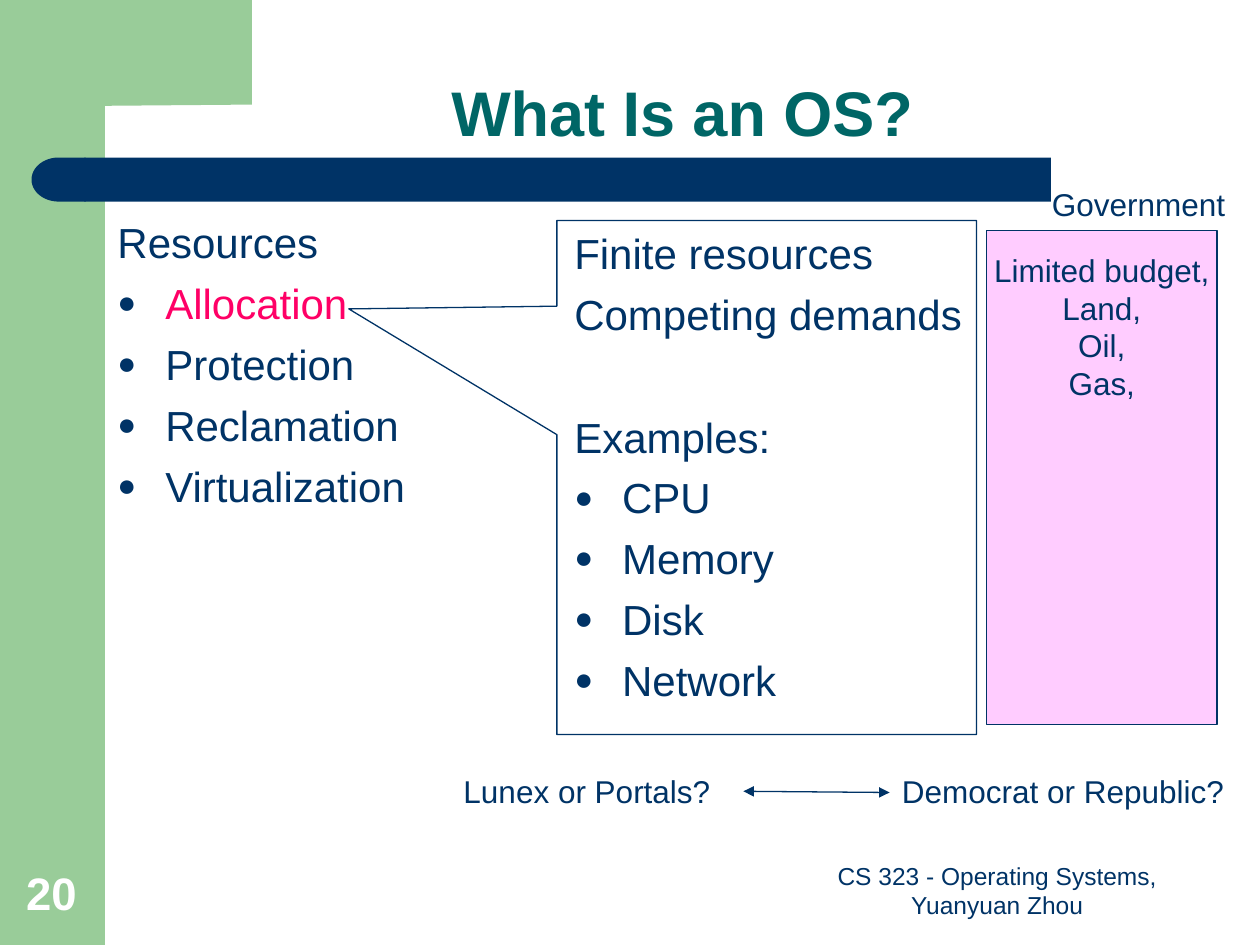
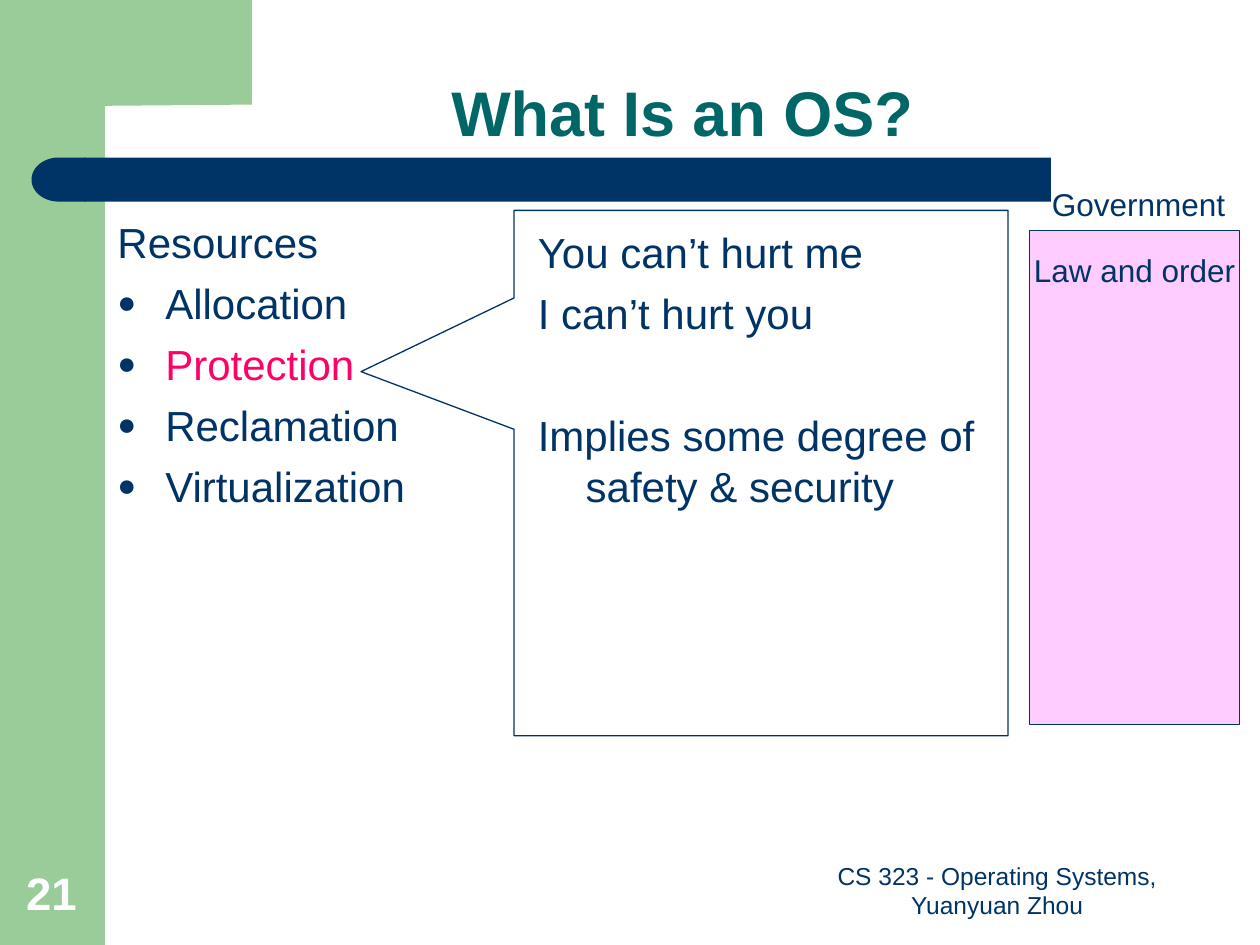
"""Build two slides that liken an operating system to a government."""
from lxml.etree import SubElement
from pptx import Presentation
from pptx.dml.color import RGBColor
from pptx.enum.shapes import MSO_CONNECTOR, MSO_SHAPE
from pptx.enum.text import MSO_ANCHOR, MSO_AUTO_SIZE, PP_ALIGN
from pptx.oxml.ns import qn
from pptx.util import Inches, Pt

NAVY, TEAL, GREEN = "003366", "006666", "99CC99"
PINK, ROSE, WHITE = "FFCCFF", "FF0066", "FFFFFF"
FACE = "Arial"
WIDE, HIGH = 10, 7.5
BAND = WIDE / 12
INDENT = 0.38
GAP = 41

TITLE = "What Is an OS?"
FOOTER = "CS 323 - Operating Systems, Yuanyuan Zhou"
DUTIES = ["Allocation", "Protection", "Reclamation", "Virtualization"]
NOTCH = [(200, 0), (200, 83), (83, 84), (77, 85), (71, 92),
         (68, 104), (67, 128), (50, 128), (50, 0)]

SLIDES = [
    {
        "page": "20",
        "focus": "Allocation",
        "notes": [("Finite resources", "plain"), ("Competing demands", "plain"),
                  ("Examples:", "gap"), ("CPU", "dot"), ("Memory", "dot"),
                  ("Disk", "dot"), ("Network", "dot")],
        "notes_at": (4.46, 1.76, 4.04, 4.99),
        "call_at": (4.42, 1.75, 3.33, 4.08),
        "tip": (-0.996, -0.328),
        "state": ["Limited budget,", "Land,", "Oil,", "Gas,"],
        "state_at": (7.83, 1.83, 1.83, 3.92),
        "rivals": [("Lunex or Portals?", (3.58, 6.08, 2.31, 0.4)),
                   ("Democrat or Republic?", (7.06, 6.08, 2.75, 0.4))],
    },
    {
        "page": "21",
        "focus": "Protection",
        "notes": [("You can’t hurt me", "plain"), ("I can’t hurt you", "plain"),
                  ("Implies some degree of safety & security", "gap")],
        "notes_at": (4.17, 1.75, 4.12, 3.44),
        "call_at": (4.08, 1.67, 3.92, 4.17),
        "tip": (-0.81, -0.193),
        "state": ["Law and order"],
        "state_at": (8.17, 1.83, 1.67, 3.92),
        "rivals": [],
    },
]


def tint(code):
    return RGBColor.from_string(code)


def place(at):
    return [Inches(n) for n in at]


def style(para, size, hue=NAVY, bold=False, align=PP_ALIGN.LEFT):
    para.alignment = align
    font = para.font
    font.name, font.size, font.bold = FACE, Pt(size), bold
    font.color.rgb = tint(hue)


def paint(shape, fill=None, line=None):
    shape.shadow.inherit = False
    if fill:
        shape.fill.solid()
        shape.fill.fore_color.rgb = tint(fill)
    else:
        shape.fill.background()
    if line:
        shape.line.color.rgb = tint(line)
        shape.line.width = Pt(0.75)
    else:
        shape.line.fill.background()


def block(slide, kind, at, fill=None, line=None):
    shape = slide.shapes.add_shape(kind, *place(at))
    paint(shape, fill, line)
    return shape


def label(slide, text, at, size=18, wrap=False, anchor=MSO_ANCHOR.TOP, **look):
    frame = slide.shapes.add_textbox(*place(at)).text_frame
    frame.word_wrap, frame.vertical_anchor = wrap, anchor
    if not wrap:
        frame.margin_right = 0
    frame.text = text
    style(frame.paragraphs[0], size, **look)


def bullet(props):
    color = SubElement(props, qn("a:buClr"))
    SubElement(color, qn("a:srgbClr"), val=NAVY)
    SubElement(props, qn("a:buSzPct"), val="75000")
    SubElement(props, qn("a:buFont"), typeface=FACE)
    SubElement(props, qn("a:buChar"), char="●")


def outline(slide, rows, at, focus=None):
    frame = slide.shapes.add_textbox(*place(at)).text_frame
    frame.word_wrap = True
    for i, (text, kind) in enumerate(rows):
        para = frame.paragraphs[0] if i == 0 else frame.add_paragraph()
        para.text = text
        para.space_before = Pt(GAP if kind == "gap" else 6)
        props = para._p.get_or_add_pPr()
        props.set("marL", str(Inches(INDENT)))
        props.set("indent", str(-Inches(INDENT)))
        if kind == "dot":
            bullet(props)
        style(para, 24, ROSE if text == focus else NAVY)


def arrow(slide, start, end):
    link = slide.shapes.add_connector(MSO_CONNECTOR.STRAIGHT, *place(start + end))
    link.line.color.rgb = tint(NAVY)
    link.line.width = Pt(0.75)
    props = link.line._get_or_add_ln()
    for tag in ("a:headEnd", "a:tailEnd"):
        SubElement(props, qn(tag), type="triangle")
    SubElement(link._element.spPr, qn("a:effectLst"))


def frame_up(slide, page):
    block(slide, MSO_SHAPE.RECTANGLE, (0, 0, BAND, HIGH), GREEN)
    path = slide.shapes.build_freeform(*NOTCH[0], scale=Inches(0.01))
    path.add_line_segments(NOTCH[1:])
    paint(path.convert_to_shape(), GREEN)
    block(slide, MSO_SHAPE.RECTANGLE, (0.67, 1.25, 7.67, 0.35), NAVY)
    cap = block(slide, MSO_SHAPE.FLOWCHART_DELAY, (0.25, 1.25, 0.43, 0.35), NAVY)
    cap.rotation = 180

    title = slide.shapes.title
    title.left, title.top, title.width, title.height = place((1.08, 0.58, 8.67, 0.66))
    frame = title.text_frame
    frame.text = TITLE
    frame.auto_size, frame.vertical_anchor = MSO_AUTO_SIZE.NONE, MSO_ANCHOR.BOTTOM
    frame.paragraphs[0].line_spacing = 0.9
    style(frame.paragraphs[0], 36, TEAL, True, PP_ALIGN.CENTER)

    low = {"wrap": True, "anchor": MSO_ANCHOR.BOTTOM}
    label(slide, FOOTER, (6.33, 6.83, 3.17, 0.52), 14, align=PP_ALIGN.CENTER, **low)
    label(slide, page, (0.11, 6.82, 0.64, 0.53), 26, hue=WHITE, bold=True, **low)


def panel(slide, rows, at):
    frame = block(slide, MSO_SHAPE.RECTANGLE, at, PINK, NAVY).text_frame
    frame.word_wrap, frame.vertical_anchor = False, MSO_ANCHOR.TOP
    frame.margin_top = Inches(0.16)
    frame.text = "\n".join(rows)
    for para in frame.paragraphs:
        style(para, 18, align=PP_ALIGN.CENTER)
    label(slide, "Government", (8.25, 1.42, 1.57, 0.4))


def build(deck, data):
    slide = deck.slides.add_slide(deck.slide_layouts[5])
    frame_up(slide, data["page"])
    duties = [("Resources", "plain")] + [(duty, "dot") for duty in DUTIES]
    outline(slide, duties, (BAND, 1.67, 4.12, 3.73), data["focus"])
    outline(slide, data["notes"], data["notes_at"])
    call = block(slide, MSO_SHAPE.RECTANGULAR_CALLOUT, data["call_at"], line=NAVY)
    for i, shift in enumerate(data["tip"]):
        call.adjustments[i] = shift
    panel(slide, data["state"], data["state_at"])
    for text, at in data["rivals"]:
        label(slide, text, at)
    if data["rivals"]:
        arrow(slide, (5.9, 6.28), (7.06, 6.29))


def main():
    deck = Presentation()
    deck.slide_width, deck.slide_height = place((WIDE, HIGH))
    for data in SLIDES:
        build(deck, data)
    deck.save("out.pptx")


if __name__ == "__main__":
    main()
